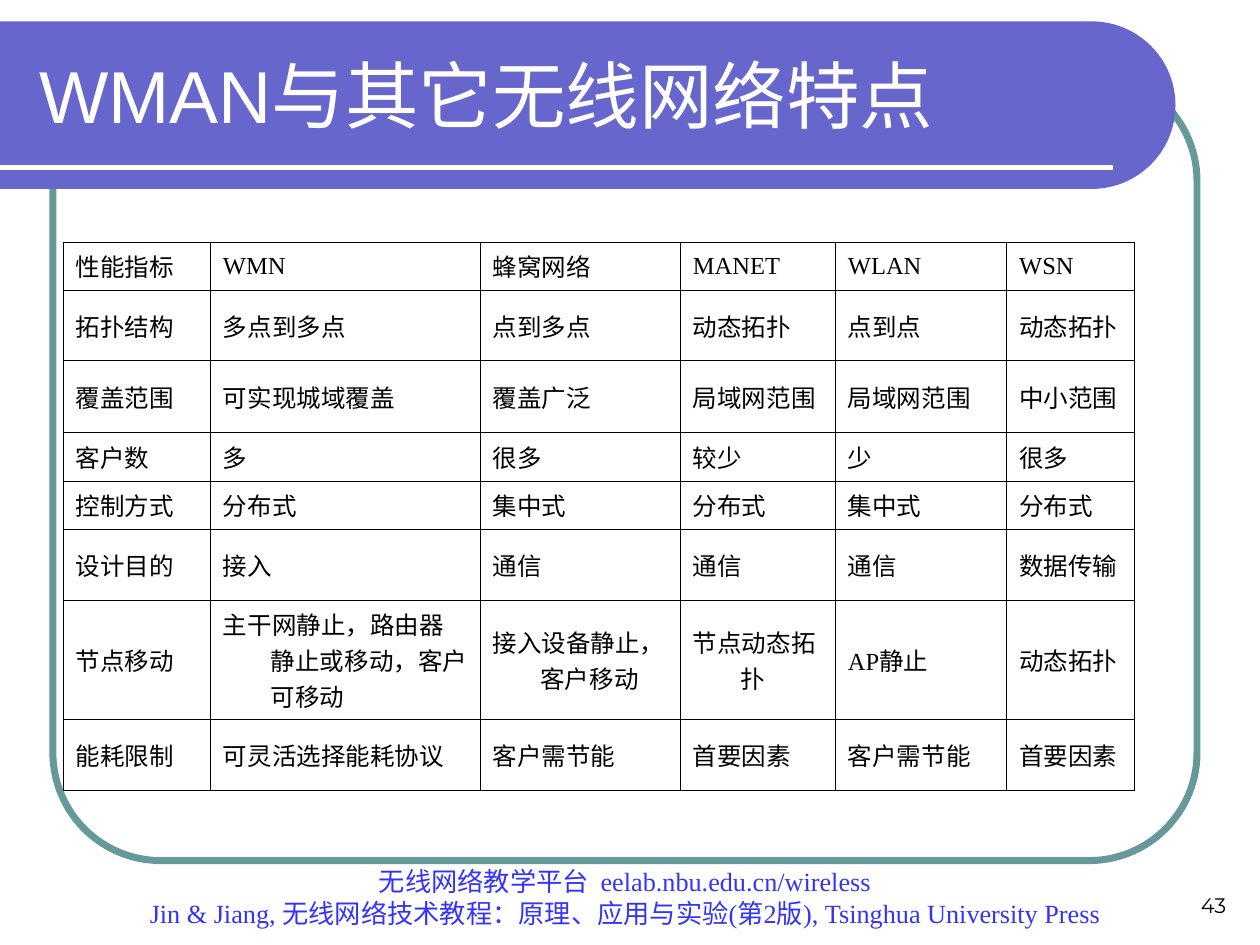
from math import cos, pi, sin

from lxml.etree import SubElement
from pptx import Presentation
from pptx.dml.color import RGBColor
from pptx.enum.shapes import MSO_CONNECTOR as Connector, MSO_SHAPE as Shape
from pptx.enum.text import MSO_ANCHOR as Anchor, MSO_AUTO_SIZE as AutoSize, PP_ALIGN as Align
from pptx.oxml import parse_xml
from pptx.oxml.ns import nsdecls, qn
from pptx.util import Inches, Pt

COLORS = {
    "frame": "669999",
    "banner": "6666CC",
    "light": "FFFFFF",
    "footer": "3333FF",
    "ink": "000000",
}

TITLE = "WMAN与其它无线网络特点"
FOOTER = [
    "无线网络教学平台  eelab.nbu.edu.cn/wireless",
    "Jin & Jiang, 无线网络技术教程：原理、应用与实验(第2版), Tsinghua University Press",
]
COLUMN_WIDTHS = [1.17, 2.14, 1.59, 1.23, 1.36, 1.01]
ROW_HEIGHTS = [0.36, 0.56, 0.57, 0.34, 0.36, 0.56, 0.8, 0.56]
ROWS = [
    ["性能指标", "WMN", "蜂窝网络", "MANET", "WLAN", "WSN"],
    ["拓扑结构", "多点到多点", "点到多点", "动态拓扑", "点到点", "动态拓扑"],
    ["覆盖范围", "可实现城域覆盖", "覆盖广泛", "局域网范围", "局域网范围", "中小范围"],
    ["客户数", "多", "很多", "较少", "少", "很多"],
    ["控制方式", "分布式", "集中式", "分布式", "集中式", "分布式"],
    ["设计目的", "接入", "通信", "通信", "通信", "数据传输"],
    ["节点移动", "主干网静止，路由器静止或移动，客户可移动", "接入设备静止，客户移动",
     "节点动态拓扑", "AP静止", "动态拓扑"],
    ["能耗限制", "可灵活选择能耗协议", "客户需节能", "首要因素", "客户需节能", "首要因素"],
]


def color(name):
    return RGBColor.from_string(COLORS[name])


def inches(box):
    return [Inches(value) for value in box]


def style(para, size, face, ink, align=Align.LEFT):
    para.alignment = align
    para.font.size = Pt(size)
    para.font.name = face
    para.font.color.rgb = color(ink)


def add_frame(page, box):
    frame = page.shapes.add_shape(Shape.ROUNDED_RECTANGLE, *inches(box))
    frame.adjustments[0] = 0.137
    frame.shadow.inherit = False
    frame.fill.background()
    frame.line.color.rgb = color("frame")
    frame.line.width = Pt(4)


def add_banner(page, box):
    # Band with a half-round right end
    left, top, width, height = box
    radius = height / 2
    center_x, center_y = left + width - radius, top + radius
    steps = 48
    arc = [(center_x + radius * sin(pi * i / steps), center_y - radius * cos(pi * i / steps))
           for i in range(steps + 1)]
    builder = page.shapes.build_freeform(Inches(left), Inches(top))
    builder.add_line_segments([inches(point) for point in arc + [(left, top + height)]])
    banner = builder.convert_to_shape()
    banner.shadow.inherit = False
    banner.fill.solid()
    banner.fill.fore_color.rgb = color("banner")
    banner.line.fill.background()

    # White rule under the title
    rule_y = top + 1.16
    rule = page.shapes.add_connector(
        Connector.STRAIGHT, *inches([left, rule_y, left + 8.83, rule_y]))
    rule.line.color.rgb = color("light")
    rule.line.width = Pt(3)
    SubElement(rule.element.spPr, qn("a:effectLst"))


def add_title(page, box):
    title = page.shapes.title
    title.left, title.top, title.width, title.height = inches(box)
    page.shapes.element.append(title.element)  # in front of the banner
    frame = title.text_frame
    frame.text = TITLE
    frame.auto_size = AutoSize.NONE
    frame.vertical_anchor = Anchor.MIDDLE
    style(frame.paragraphs[0], 42, "Arial", "light")


def add_note(page, box, lines, size, face, ink, align):
    frame = page.shapes.add_textbox(*inches(box)).text_frame
    frame.word_wrap = True
    frame.vertical_anchor = Anchor.BOTTOM
    frame.text = "\n".join(lines)
    for para in frame.paragraphs:
        style(para, size, face, ink, align)


def format_cell(cell, text):
    cell.text = text
    cell.vertical_anchor = Anchor.MIDDLE
    cell.fill.background()
    para = cell.text_frame.paragraphs[0]
    style(para, 14, "Times New Roman", "ink")
    # Hanging indent
    properties = para._p.get_or_add_pPr()
    properties.set("marL", str(Inches(0.38)))
    properties.set("indent", str(-Inches(0.38)))
    # Thin borders
    for index, side in enumerate(("lnL", "lnR", "lnT", "lnB")):
        border = parse_xml(
            f'<a:{side} {nsdecls("a")} w="{Pt(0.45)}"><a:solidFill>'
            f'<a:srgbClr val="{COLORS["ink"]}"/></a:solidFill></a:{side}>')
        cell._tc.get_or_add_tcPr().insert(index, border)


def add_comparison(page, box):
    table = page.shapes.add_table(len(ROWS), len(ROWS[0]), *inches(box)).table
    table.first_row = False
    table.horz_banding = False
    for column, width in zip(table.columns, COLUMN_WIDTHS):
        column.width = Inches(width)
    for row, height, texts in zip(table.rows, ROW_HEIGHTS, ROWS):
        row.height = Inches(height)
        for cell, text in zip(row.cells, texts):
            format_cell(cell, text)


def main():
    deck = Presentation()
    deck.slide_width, deck.slide_height = Inches(10), Inches(7.5)
    page = deck.slides.add_slide(deck.slide_layouts[5])
    add_frame(page, (0.42, 0.58, 9.08, 6.25))
    add_banner(page, (0, 0.17, 9.33, 1.33))
    add_note(page, (0.75, 7, 8.42, 0.42), FOOTER, 15, "Times New Roman", "footer", Align.CENTER)
    add_note(page, (7.5, 6.83, 2.33, 0.5), ["43"], 12, "Montserrat", "ink", Align.RIGHT)
    add_title(page, (0.21, 0.25, 8.77, 1))
    add_comparison(page, (0.5, 1.92, 8.5, 4.1))
    deck.save("out.pptx")


if __name__ == "__main__":
    main()
